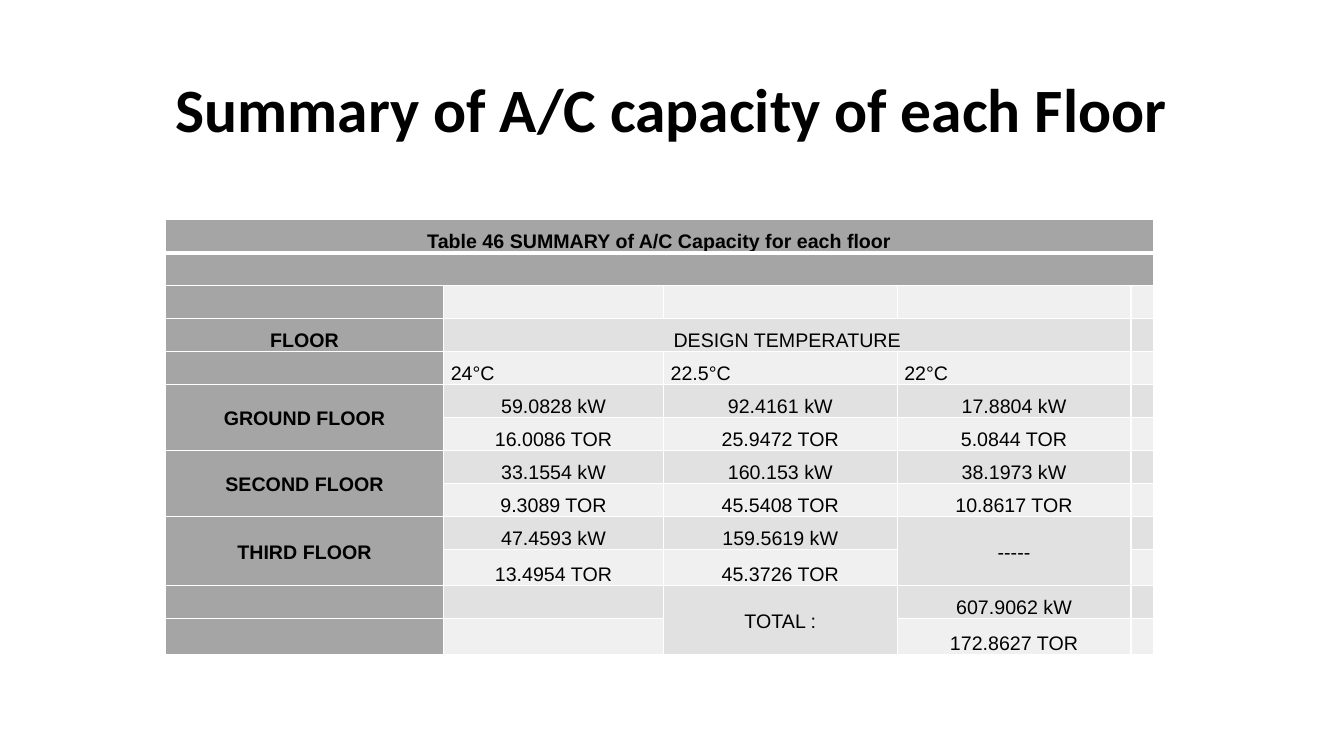
import pptx
import pptx.dml.color
import pptx.enum.text
import pptx.oxml
import pptx.oxml.ns
import pptx.util

Cm, Pt = pptx.util.Cm, pptx.util.Pt
ALIGN = pptx.enum.text.PP_ALIGN
ANCHOR = pptx.enum.text.MSO_ANCHOR

# Content
TITLE = "Summary of A/C capacity of each Floor"
ROWS = [
    ["Table 46 SUMMARY of A/C Capacity for each floor", "", "", "", ""],
    ["", "", "", "", ""],
    ["", "", "", "", ""],
    ["FLOOR", "DESIGN TEMPERATURE", "", "", ""],
    ["", "24°C", "22.5°C", "22°C", ""],
    ["GROUND FLOOR", "59.0828 kW", "92.4161 kW", "17.8804 kW", ""],
    ["", "16.0086 TOR", "25.9472 TOR", "5.0844 TOR", ""],
    ["SECOND FLOOR", "33.1554 kW", "160.153 kW", "38.1973 kW", ""],
    ["", "9.3089 TOR", "45.5408 TOR", "10.8617 TOR", ""],
    ["THIRD FLOOR", "47.4593 kW", "159.5619 kW", "-----", ""],
    ["", "13.4954 TOR", "45.3726 TOR", "", ""],
    ["", "", "TOTAL :", "607.9062 kW", ""],
    ["", "", "", "172.8627 TOR", ""],
]
# First and last cell of each merged block, as (row, column)
MERGES = [
    ((0, 0), (0, 4)), ((1, 0), (1, 4)), ((3, 1), (3, 3)),
    ((5, 0), (6, 0)), ((7, 0), (8, 0)), ((9, 0), (10, 0)),
    ((9, 3), (10, 3)), ((11, 2), (12, 2)),
]
TALL_BLOCKS = {first for first, last in MERGES if last[0] > first[0]}
TEMPERATURE_ROW = 4

# Layout
COLUMN_WIDTHS = [7.01, 5.54, 5.89, 5.89, 0.56]
ROW_HEIGHT, TALL_ROW_HEIGHT, TALL_ROWS = 0.83, 0.91, {10, 12}
LEFT, TABLE_TOP = 4.17, 5.54
HEADER, ODD_BAND, EVEN_BAND = "A5A5A5", "E1E1E1", "F0F0F0"
BLACK, WHITE = "000000", "FFFFFF"


def color(value):
    return pptx.dml.color.RGBColor.from_string(value)


def apply(target, **values):
    for name, value in values.items():
        setattr(target, name, value)


def write(frame, text, name, size, bold, align, spacing):
    para = frame.paragraphs[0]
    apply(para, alignment=align, line_spacing=spacing)
    span = para.add_run()
    span.text = text
    apply(span.font, name=name, size=Pt(size), bold=bold)
    span.font.color.rgb = color(BLACK)


def add_borders(cell, row):
    properties = cell._tc.get_or_add_tcPr()
    for position, side in enumerate("LRTB"):
        thick = (row, side) in {(0, "B"), (1, "T")}
        properties.insert(position, pptx.oxml.parse_xml(
            f'<a:ln{side} {pptx.oxml.ns.nsdecls("a")} w="{Pt(3 if thick else 1)}">'
            f'<a:solidFill><a:srgbClr val="{WHITE}"/></a:solidFill></a:ln{side}>'))


deck = pptx.Presentation()
apply(deck, slide_width=Cm(33.87), slide_height=Cm(19.05))
page = deck.slides.add_slide(deck.slide_layouts[5])

# Title
title = page.shapes.title
apply(title, left=Cm(LEFT), top=Cm(0.99), width=Cm(29.21), height=Cm(3.68))
title.text_frame.vertical_anchor = ANCHOR.MIDDLE
write(title.text_frame, TITLE, "Calibri", 44, True, ALIGN.LEFT, 0.9)

# Table grid
heights = [TALL_ROW_HEIGHT if row in TALL_ROWS else ROW_HEIGHT
           for row in range(len(ROWS))]
table = page.shapes.add_table(
    len(ROWS), len(COLUMN_WIDTHS), Cm(LEFT), Cm(TABLE_TOP),
    Cm(sum(COLUMN_WIDTHS)), Cm(sum(heights))).table
apply(table, first_row=False, horz_banding=False)
for column, width in zip(table.columns, COLUMN_WIDTHS):
    column.width = Cm(width)
for table_row, height in zip(table.rows, heights):
    table_row.height = Cm(height)
for first, last in MERGES:
    table.cell(*first).merge(table.cell(*last))

# Cells
for row, texts in enumerate(ROWS):
    for column, text in enumerate(texts):
        cell = table.cell(row, column)
        is_header = row < 2 or column == 0
        band = ODD_BAND if row % 2 else EVEN_BAND
        cell.fill.solid()
        cell.fill.fore_color.rgb = color(HEADER if is_header else band)
        add_borders(cell, row)
        tall = (row, column) in TALL_BLOCKS
        apply(cell, margin_left=Cm(0.18), margin_right=Cm(0.18),
              margin_top=0, margin_bottom=0,
              vertical_anchor=ANCHOR.MIDDLE if tall else ANCHOR.BOTTOM)
        if text:
            align = ALIGN.LEFT if row == TEMPERATURE_ROW else ALIGN.CENTER
            write(cell.text_frame, text, "Arial", 14, is_header, align, 1.15)

deck.save("out.pptx")
